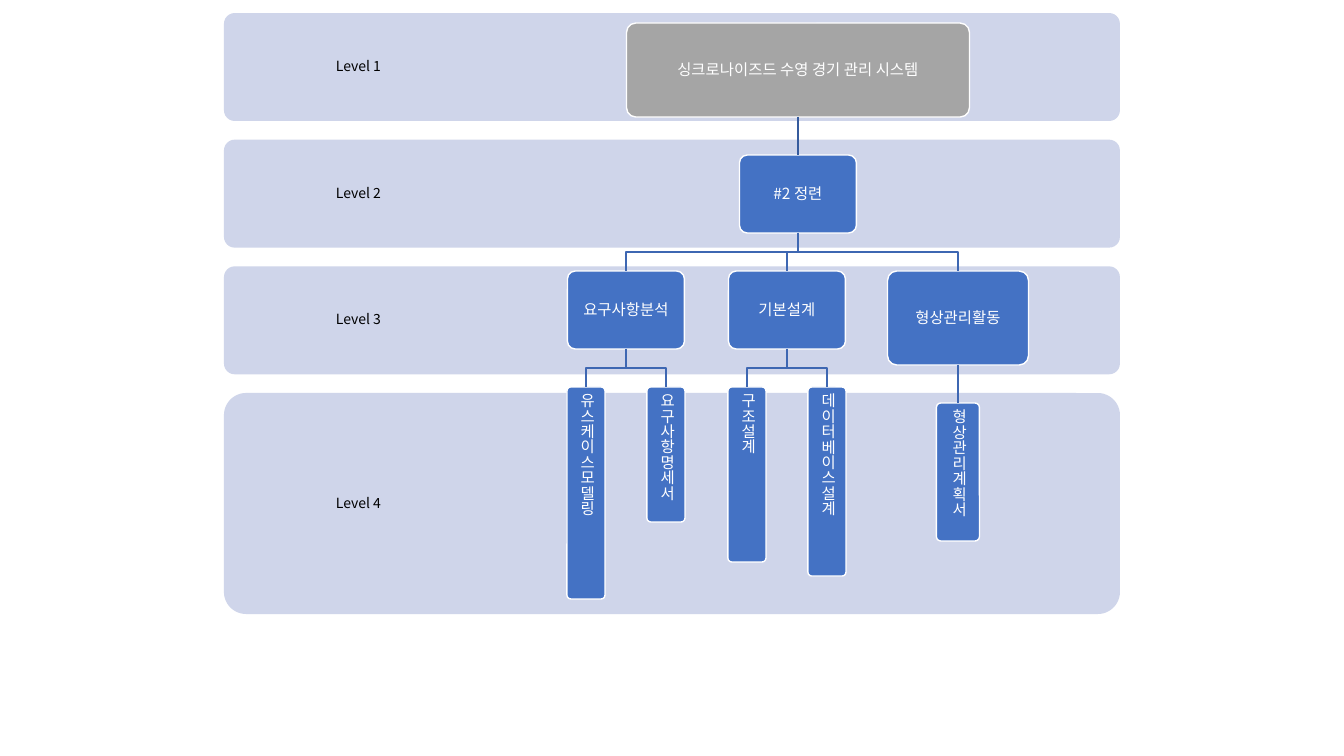
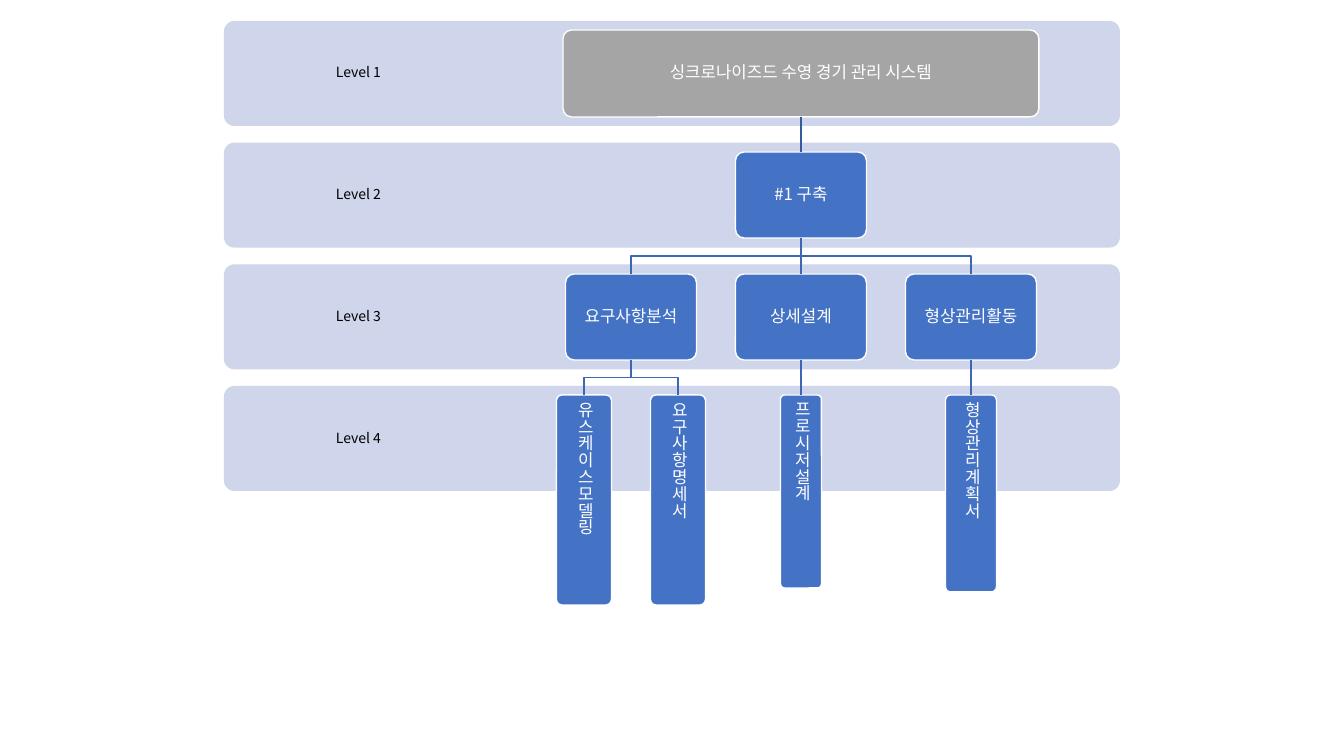
"""Build two work breakdown charts, each a tree of boxes over four level bands."""

import dataclasses

import lxml.etree
import pptx
import pptx.dml.color
import pptx.enum.shapes
import pptx.enum.text
import pptx.oxml.ns
import pptx.shapes.autoshape
import pptx.slide
import pptx.util

RGBColor = pptx.dml.color.RGBColor
BAND_BLUE = RGBColor(0xCF, 0xD5, 0xEA)
SYSTEM_GRAY = RGBColor(0xA5, 0xA5, 0xA5)
TASK_BLUE = RGBColor(0x44, 0x72, 0xC4)
ROOT_LINK_BLUE = RGBColor(0x36, 0x5B, 0x9D)
LINK_BLUE = RGBColor(0x3E, 0x67, 0xB2)
WHITE = RGBColor(0xFF, 0xFF, 0xFF)
BLACK = RGBColor(0x00, 0x00, 0x00)

FONT = "Noto Sans CJK KR"
EMU_PER_PX = 12192000 / 1344
SLIDE_WIDTH, SLIDE_HEIGHT = 1344, 756
BAND_LEFT, BAND_WIDTH, LABEL_WIDTH = 224, 896, 269
LEVELS = 4
BAND_INSET, BOX_INSET = 8, 5
LABEL_SIZE = 10
CORNER = 0.1
TOP_SITE, BOTTOM_SITE = 0, 2
QUARTER_TURN, THREE_QUARTER_TURN = "5400000", "16200000"


@dataclasses.dataclass(frozen=True)
class Node:
    """A box centred on an x position, with the boxes below it."""

    text: str
    center: int
    top: int
    width: int
    height: int
    children: tuple["Node", ...] = ()
    vertical: bool = False


@dataclasses.dataclass(frozen=True)
class Chart:
    """A tree of boxes and the level bands behind it."""

    first_band_top: int
    last_band_top: int
    band_height: int
    last_band_height: int
    text_size: int
    root: Node


def px(length: float) -> pptx.util.Emu:
    """Turn pixels into EMU."""
    return pptx.util.Emu(round(length * EMU_PER_PX))


def product(center: int, top: int, width: int, height: int, text: str) -> Node:
    """Return a box of the lowest level, with its text running downwards."""
    return Node(text, center, top, width, height, vertical=True)


def rounded_box(
    slide: pptx.slide.Slide, left: float, top: float, width: float, height: float, fill: RGBColor
) -> pptx.shapes.autoshape.Shape:
    """Draw a filled rounded rectangle without outline or shadow."""
    box = slide.shapes.add_shape(
        pptx.enum.shapes.MSO_SHAPE.ROUNDED_RECTANGLE, px(left), px(top), px(width), px(height)
    )
    box.adjustments[0] = CORNER
    box.shadow.inherit = False
    box.fill.solid()
    box.fill.fore_color.rgb = fill
    box.line.fill.background()
    return box


def write(
    box: pptx.shapes.autoshape.Shape, text: str, size: int, color: RGBColor, inset: int
) -> None:
    """Write one centred paragraph in a box."""
    frame = box.text_frame
    frame.text = text
    frame.word_wrap = True
    frame.vertical_anchor = pptx.enum.text.MSO_ANCHOR.MIDDLE
    frame.margin_left = frame.margin_right = px(inset)
    frame.margin_top = frame.margin_bottom = px(inset)
    paragraph = frame.paragraphs[0]
    paragraph.alignment = pptx.enum.text.PP_ALIGN.CENTER
    paragraph.line_spacing = 0.9
    font = paragraph.runs[0].font
    font.name = FONT
    font.size = pptx.util.Pt(size)
    font.color.rgb = color
    properties = box.element.find(".//" + pptx.oxml.ns.qn("a:rPr"))
    lxml.etree.SubElement(properties, pptx.oxml.ns.qn("a:ea")).set("typeface", FONT)


def draw_bands(slide: pptx.slide.Slide, chart: Chart) -> None:
    """Draw the labelled bands at an equal pitch."""
    pitch = (chart.last_band_top - chart.first_band_top) / (LEVELS - 1)
    for index in range(LEVELS):
        height = chart.last_band_height if index == LEVELS - 1 else chart.band_height
        top = chart.first_band_top + index * pitch
        band = rounded_box(slide, BAND_LEFT, top, BAND_WIDTH, height, BAND_BLUE)
        write(band, f"Level {index + 1}", LABEL_SIZE, BLACK, BAND_INSET)
        band.text_frame.margin_right = px(BAND_WIDTH - LABEL_WIDTH + BAND_INSET)


def link(
    slide: pptx.slide.Slide,
    parent: Node,
    parent_box: pptx.shapes.autoshape.Shape,
    child: Node,
    child_box: pptx.shapes.autoshape.Shape,
    color: RGBColor,
) -> None:
    """Join the bottom of a parent to the top of its child, bent halfway down."""
    shift = child.center - parent.center
    kinds = pptx.enum.shapes.MSO_CONNECTOR
    connector = slide.shapes.add_connector(kinds.ELBOW if shift else kinds.STRAIGHT, 0, 0, 0, 0)
    connector.begin_connect(parent_box, BOTTOM_SITE)
    connector.end_connect(child_box, TOP_SITE)
    connector.line.color.rgb = color
    connector.line.width = pptx.util.Pt(1)
    properties = connector.element.spPr
    lxml.etree.SubElement(properties, pptx.oxml.ns.qn("a:effectLst"))
    if shift:
        parent_bottom = parent.top + parent.height
        drop = child.top - parent_bottom
        connector.left = px((parent.center + child.center - drop) / 2)
        connector.top = px((parent_bottom + child.top - abs(shift)) / 2)
        connector.width, connector.height = px(drop), px(abs(shift))
        frame = properties.find(pptx.oxml.ns.qn("a:xfrm"))
        frame.set("rot", QUARTER_TURN if shift < 0 else THREE_QUARTER_TURN)
        frame.set("flipH", "0" if shift < 0 else "1")


def draw_tree(
    slide: pptx.slide.Slide, node: Node, text_size: int, is_root: bool = True
) -> pptx.shapes.autoshape.Shape:
    """Draw a node and everything below it, and return the node's box."""
    fill = SYSTEM_GRAY if is_root else TASK_BLUE
    left = node.center - node.width / 2
    box = rounded_box(slide, left, node.top, node.width, node.height, fill)
    box.line.color.rgb = WHITE
    box.line.width = pptx.util.Pt(1)
    write(box, node.text, text_size, WHITE, BOX_INSET)
    if node.vertical:
        box.element.find(".//" + pptx.oxml.ns.qn("a:bodyPr")).set("vert", "eaVert")
        box.text_frame.paragraphs[0].alignment = pptx.enum.text.PP_ALIGN.LEFT
    for child in node.children:
        child_box = draw_tree(slide, child, text_size, is_root=False)
        link(slide, node, box, child, child_box, ROOT_LINK_BLUE if is_root else LINK_BLUE)
    return box


SYSTEM = "싱크로나이즈드 수영 경기 관리 시스템"

ELABORATION = Node("#2 정련", 798, 155, 117, 78, (
    Node("요구사항분석", 626, 271, 117, 78, (
        product(586, 387, 38, 212, "유스케이스모델링"),
        product(666, 387, 38, 135, "요구사항명세서"),
    )),
    Node("기본설계", 787, 271, 117, 78, (
        product(747, 387, 38, 175, "구조설계"),
        product(827, 387, 38, 189, "데이터베이스설계"),
    )),
    Node("형상관리활동", 958, 271, 141, 94, (
        product(958, 403, 43, 138, "형상관리계획서"),
    )),
))

CONSTRUCTION = Node("#1 구축", 801, 152, 131, 86, (
    Node("요구사항분석", 631, 274, 131, 86, (
        product(584, 395, 55, 210, "유스케이스모델링"),
        product(678, 395, 55, 210, "요구사항명세서"),
    )),
    Node("상세설계", 801, 274, 131, 86, (
        product(801, 395, 41, 193, "프로시저설계"),
    )),
    Node("형상관리활동", 971, 274, 131, 86, (
        product(971, 395, 51, 197, "형상관리계획서"),
    )),
))

CHARTS = (
    Chart(13, 393, 108, 221, 11, Node(SYSTEM, 798, 23, 343, 94, (ELABORATION,))),
    Chart(21, 386, 105, 105, 12, Node(SYSTEM, 801, 30, 476, 87, (CONSTRUCTION,))),
)


def main() -> None:
    """Draw one slide per chart and save the presentation."""
    deck = pptx.Presentation()
    deck.slide_width, deck.slide_height = px(SLIDE_WIDTH), px(SLIDE_HEIGHT)
    blank_layout = deck.slide_layouts[6]
    for chart in CHARTS:
        slide = deck.slides.add_slide(blank_layout)
        draw_bands(slide, chart)
        draw_tree(slide, chart.root, chart.text_size)
    deck.save("out.pptx")


if __name__ == "__main__":
    main()
